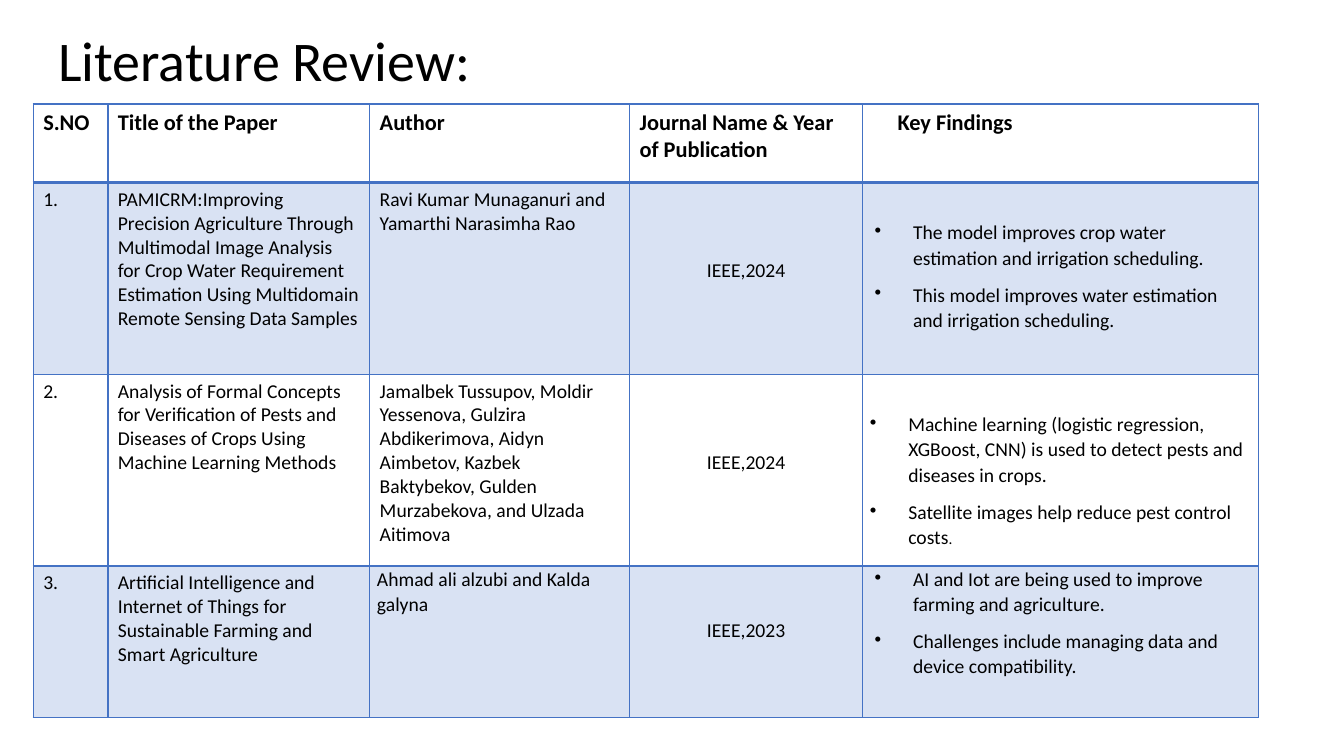
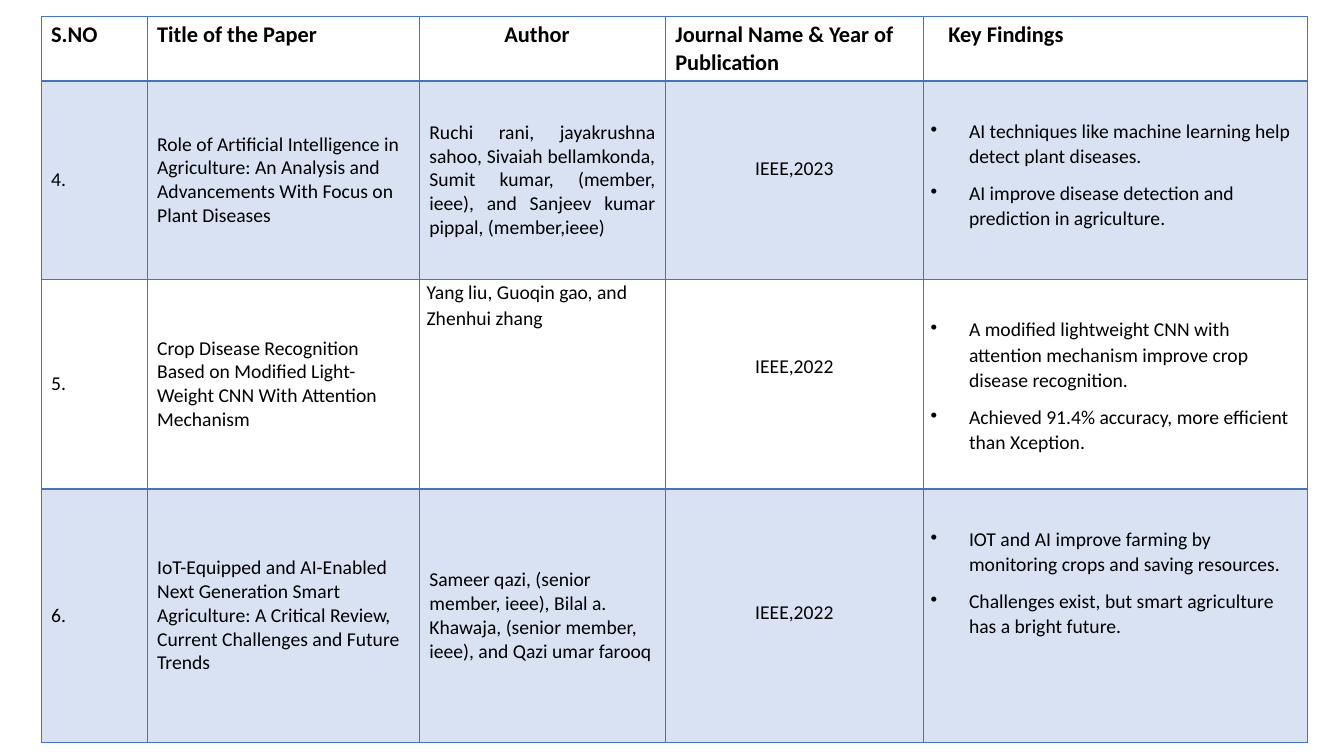
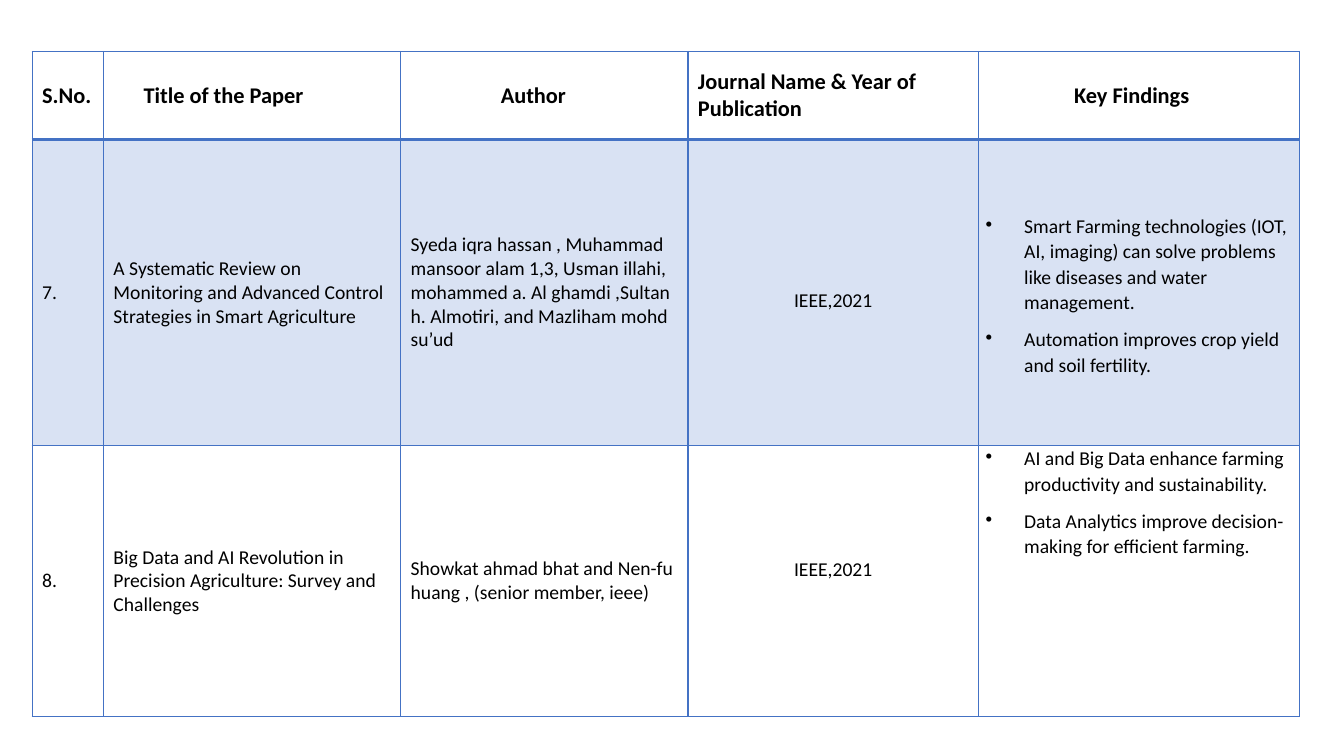
from dataclasses import dataclass

from lxml.etree import SubElement
from pptx import Presentation
from pptx.dml.color import RGBColor
from pptx.enum.text import MSO_ANCHOR as Anchor, PP_ALIGN as Align
from pptx.oxml.ns import qn
from pptx.util import Cm, Pt


@dataclass(frozen=True)
class Theme:
    font: str = "Calibri"
    ink: RGBColor = RGBColor(0, 0, 0)
    accent: str = "4472C4"
    band_alpha: int = 20000
    title: int = 40
    heading: int = 16
    body: int = 14
    small: int = 11
    rule: int = 1
    heavy_rule: int = 2
    plain_table: str = "{2D5ABB26-0587-4C30-8999-92F81FD0307C}"


T = Theme()
LINE, LOOSE_LINE = 0.6, 0.93  # heights of a plain line and a spaced line, cm
NORMAL, TIGHT, WIDE = 0.25, 0.18, 0.3  # side insets, cm
BULLET_INDENT = 0.97


@dataclass
class Entry:
    """Content of one cell: each paragraph is a list of (text, size) runs."""
    paras: list
    bold: bool = False
    align: Align = Align.LEFT
    anchor: Anchor = Anchor.TOP
    side: float = NORMAL
    top: float = 0.13
    bottom: float = 0.13
    indent: float = 0
    loose: bool = False
    bullet: bool = False


def heading(text, indent=0, anchor=Anchor.TOP):
    return Entry([[(text, T.heading)]], bold=True, indent=indent, anchor=anchor)


def plain(text, **options):
    return Entry([[(text, T.body)]], **options)


def middle(text, **options):
    return plain(text, anchor=Anchor.MIDDLE, **options)


def loose(text, lead=0, **options):
    """Spaced text that starts `lead` lines below the top of its cell."""
    return plain(text, side=TIGHT, top=lead * LOOSE_LINE, bottom=0,
                 loose=True, **options)


def journal(text, lead):
    return loose(text, lead, align=Align.CENTER)


def journal_plain(text, lead):
    return plain(text, top=0.13 + lead * LINE, align=Align.CENTER)


def findings(*items, lead=1, side=TIGHT):
    """Bulleted list; an item is a string or a list of runs."""
    paras = [[(i, T.body)] if isinstance(i, str) else i for i in items]
    return Entry(paras, side=side, top=lead * LOOSE_LINE, bottom=0,
                 loose=True, bullet=True)


def add_run(p, text, size, bold=False):
    r = p.add_run()
    r.text = text
    r.font.name, r.font.size, r.font.bold = T.font, Pt(size), bold
    r.font.color.rgb = T.ink


def write_entry(cell, entry):
    cell.vertical_anchor = entry.anchor
    cell.margin_left = cell.margin_right = Cm(entry.side)
    cell.margin_top, cell.margin_bottom = Cm(entry.top), Cm(entry.bottom)
    tf = cell.text_frame
    for i, runs in enumerate(entry.paras):
        p = tf.add_paragraph() if i else tf.paragraphs[0]
        p.alignment = entry.align
        pPr = p._p.get_or_add_pPr()
        if entry.bullet:
            pPr.set("marL", str(Cm(BULLET_INDENT)))
            pPr.set("indent", str(-Cm(BULLET_INDENT)))
            SubElement(pPr, qn("a:buChar")).set("char", "•")
        elif entry.indent:
            pPr.set("marL", str(Cm(entry.indent)))
        if entry.loose:
            p.line_spacing, p.space_after = 1.07, Pt(8)
        for text, size in runs:
            add_run(p, text, size, entry.bold)


def accent_fill(parent):
    fill = SubElement(parent, qn("a:solidFill"))
    color = SubElement(fill, qn("a:srgbClr"))
    color.set("val", T.accent)
    return color


def style_cell(cell, row):
    """Rule all sides, heavier below the heading; tint the odd rows."""
    tcPr = cell._tc.get_or_add_tcPr()
    heavy = {0: "B", 1: "T"}.get(row)
    for side in "LRTB":
        ln = SubElement(tcPr, qn(f"a:ln{side}"))
        ln.set("w", str(Pt(T.heavy_rule if side == heavy else T.rule)))
        accent_fill(ln)
    if row % 2:
        alpha = SubElement(accent_fill(tcPr), qn("a:alpha"))
        alpha.set("val", str(T.band_alpha))
    else:
        cell.fill.background()


def add_review_table(prs, left, top, widths, heights, rows):
    s = prs.slides.add_slide(prs.slide_layouts[6])
    frame = s.shapes.add_table(len(heights), len(widths), Cm(left), Cm(top),
                               Cm(sum(widths)), Cm(sum(heights)))
    table = frame.table
    table._tbl.tblPr.find(qn("a:tableStyleId")).text = T.plain_table
    for column, width in zip(table.columns, widths):
        column.width = Cm(width)
    for i, (height, entries) in enumerate(zip(heights, rows)):
        table.rows[i].height = Cm(height)
        for j, entry in enumerate(entries):
            write_entry(table.cell(i, j), entry)
            style_cell(table.cell(i, j), i)
    return s


def add_title(s, text):
    tf = s.shapes.add_textbox(Cm(1.22), Cm(0.51), Cm(14.73), Cm(1.96)).text_frame
    tf.word_wrap = True
    add_run(tf.paragraphs[0], text, T.title)


def headings(number="S.NO", indents=(0, 0, 0, 0, 0), anchor=Anchor.TOP):
    names = (number, "Title of the Paper", "Author",
             "Journal Name & Year of Publication", "Key Findings")
    return [heading(n, i, anchor) for n, i in zip(names, indents)]


def papers_1_to_3(prs):
    s = add_review_table(
        prs, 0.84, 2.62, (1.88, 6.6, 6.55, 5.87, 9.98), (1.98, 4.83, 4.83, 3.81), [
            headings(indents=(0, 0, 0, 0, 0.63)),
            [plain("1."),
             plain("PAMICRM:Improving Precision Agriculture Through Multimodal Image "
                   "Analysis for Crop Water Requirement Estimation Using Multidomain "
                   "Remote Sensing Data Samples"),
             plain("Ravi Kumar Munaganuri and Yamarthi Narasimha Rao"),
             journal_plain("IEEE,2024", 3),
             findings("The model improves crop water estimation and irrigation scheduling.",
                      "This model improves water estimation and irrigation scheduling.",
                      side=WIDE)],
            [plain("2."),
             plain("Analysis of Formal Concepts for Verification of Pests and Diseases "
                   "of Crops Using Machine Learning Methods"),
             plain("Jamalbek Tussupov, Moldir Yessenova, Gulzira Abdikerimova, Aidyn "
                   "Aimbetov, Kazbek Baktybekov, Gulden Murzabekova, and Ulzada Aitimova"),
             journal_plain("IEEE,2024", 3),
             findings("Machine learning (logistic regression, XGBoost, CNN) is used to "
                      "detect pests and diseases in crops.",
                      [("Satellite images help reduce pest control costs", T.body),
                       (".", T.small)])],
            [plain("3."),
             plain("Artificial Intelligence and Internet of Things for Sustainable "
                   "Farming and Smart Agriculture"),
             loose("Ahmad ali alzubi and Kalda galyna"),
             journal_plain("IEEE,2023", 2),
             findings("AI and Iot are being used to improve farming and agriculture.",
                      "Challenges include managing data and device compatibility.",
                      lead=0, side=WIDE)],
        ])
    add_title(s, "Literature Review:")


def papers_4_to_6(prs):
    add_review_table(
        prs, 1.04, 0.41, (2.67, 6.86, 6.2, 6.5, 9.68), (1.63, 5, 5.28, 6.38), [
            headings(indents=(0, 0, 1.89, 0, 0.38)),
            [middle("4."),
             middle("Role of Artificial Intelligence in Agriculture: An Analysis and "
                    "Advancements With Focus on Plant Diseases"),
             middle("Ruchi rani, jayakrushna sahoo, Sivaiah bellamkonda, Sumit kumar, "
                    "(member, ieee), and Sanjeev kumar pippal, (member,ieee)",
                    align=Align.JUSTIFY),
             journal("IEEE,2023", 2),
             findings("AI techniques like machine learning help detect plant diseases.",
                      "AI improve disease detection and prediction in agriculture.")],
            [middle("5."),
             middle("Crop Disease Recognition Based on Modified Light-Weight CNN With "
                    "Attention Mechanism"),
             loose("Yang liu, Guoqin gao, and Zhenhui zhang"),
             journal("IEEE,2022", 2),
             findings("A modified lightweight CNN with attention mechanism improve crop "
                      "disease recognition.",
                      "Achieved 91.4% accuracy, more efficient than Xception.")],
            [middle("6."),
             middle("IoT-Equipped and AI-Enabled Next Generation Smart Agriculture: A "
                    "Critical Review, Current Challenges and Future Trends"),
             middle("Sameer qazi, (senior member, ieee), Bilal a. Khawaja, (senior "
                    "member, ieee), and Qazi umar farooq"),
             journal("IEEE,2022", 3),
             findings("IOT and AI improve farming by monitoring crops and saving resources.",
                      "Challenges exist, but smart agriculture has a bright future.")],
        ])


def papers_7_to_8(prs):
    add_review_table(
        prs, 0.81, 1.3, (1.8, 7.49, 7.24, 7.32, 8.08), (2.21, 7.72, 6.83), [
            headings("S.No.", (0, 0.76, 2.27, 0, 2.16), Anchor.MIDDLE),
            [middle("7."),
             middle("A Systematic Review on Monitoring and Advanced Control Strategies "
                    "in Smart Agriculture"),
             middle("Syeda iqra hassan , Muhammad mansoor alam 1,3, Usman illahi, "
                    "mohammed a. Al ghamdi ,Sultan h. Almotiri, and Mazliham mohd su’ud"),
             journal("IEEE,2021", 4),
             findings("Smart Farming technologies (IOT, AI, imaging) can solve problems "
                      "like diseases and water management.",
                      "Automation improves crop yield and soil fertility.", lead=2)],
            [middle("8."),
             middle("Big Data and AI Revolution in Precision Agriculture: Survey and "
                    "Challenges"),
             middle("Showkat ahmad bhat and Nen-fu huang , (senior member, ieee)"),
             journal("IEEE,2021", 3),
             findings("AI and Big Data enhance farming productivity and sustainability.",
                      "Data Analytics improve decision-making for efficient farming.",
                      lead=0)],
        ])


def main():
    prs = Presentation()
    prs.slide_width, prs.slide_height = Cm(33.87), Cm(19.05)
    papers_1_to_3(prs)
    papers_4_to_6(prs)
    papers_7_to_8(prs)
    prs.save("out.pptx")


if __name__ == "__main__":
    main()
